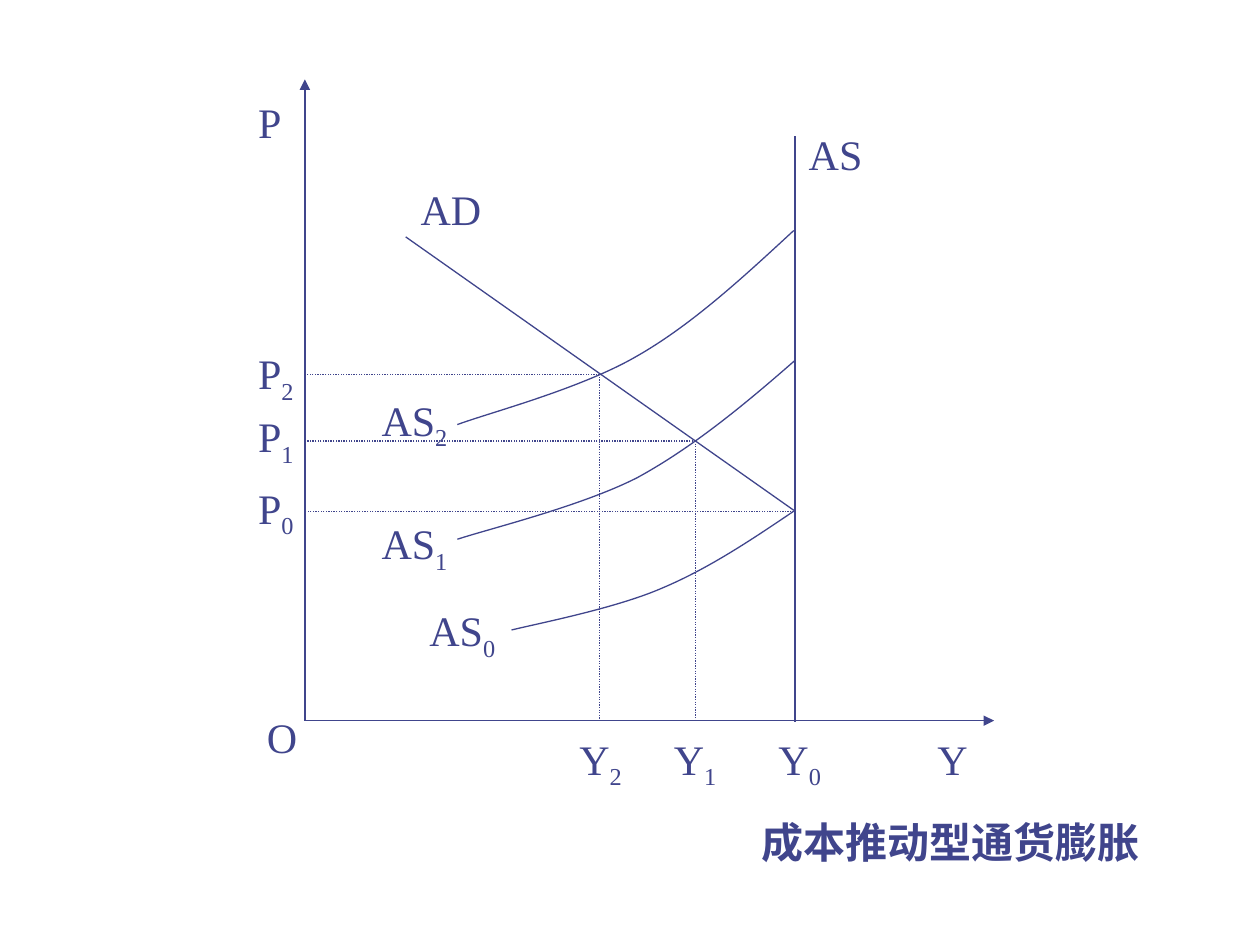
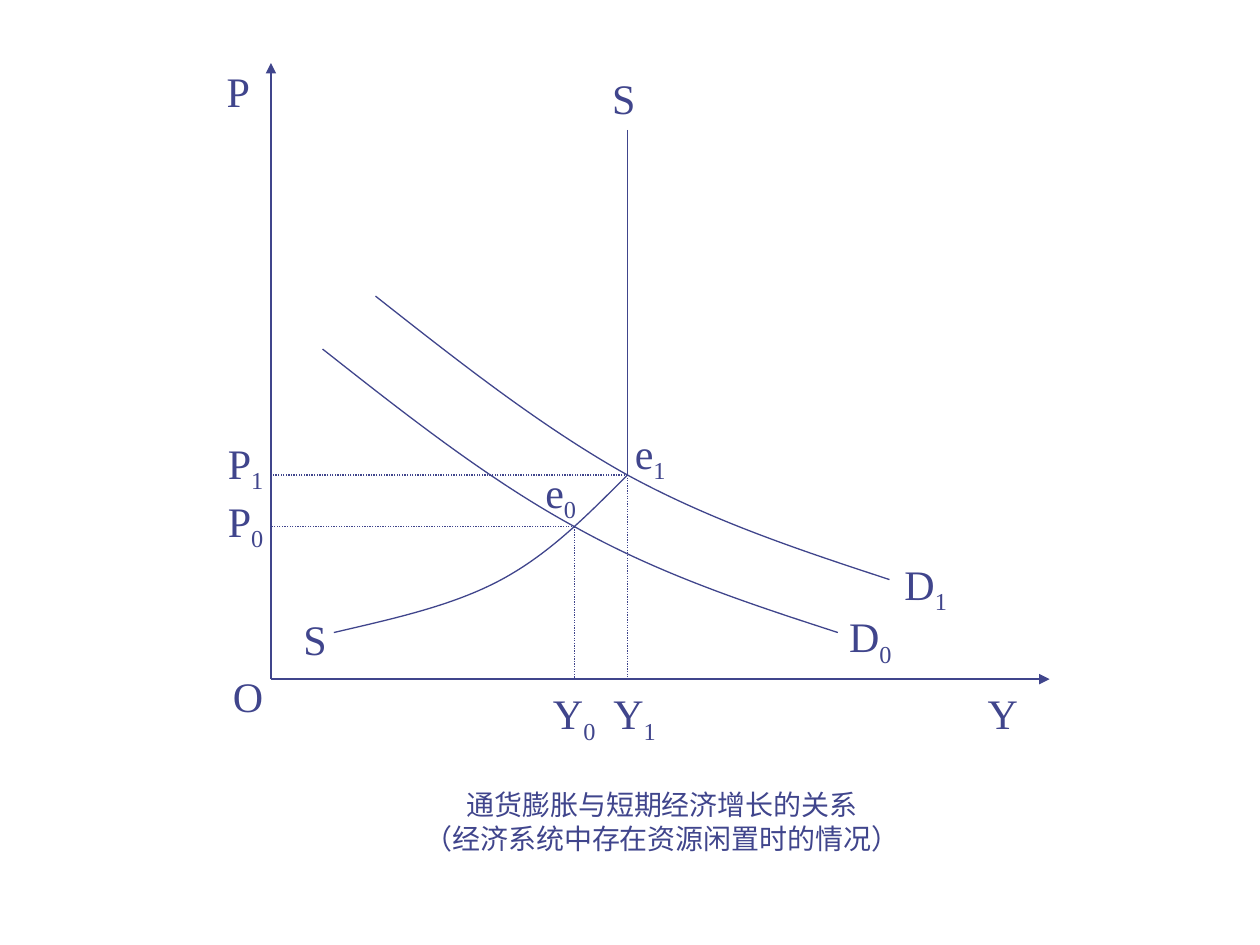
import pptx
import pptx.dml.color
import pptx.enum.dml
import pptx.enum.shapes
import pptx.enum.text
import pptx.oxml
import pptx.oxml.ns
import pptx.util
from lxml import etree

Inches = pptx.util.Inches
Pt = pptx.util.Pt
qn = pptx.oxml.ns.qn

INK = pptx.dml.color.RGBColor(0x40, 0x45, 0x8C)
FONT = "Times New Roman"
LINE_WIDTH = Pt(0.75)
LABEL_SIZE = 24
# Widths are rounded up so that no label breaks into two lines.
LETTER_WIDTHS = {"P": 0.19, "S": 0.19, "e": 0.16}
CAPITAL_WIDTH = 0.25
SUBSCRIPT_WIDTH = 0.1
SIDE_INSETS = 0.2
TITLE_ONLY = 5

LEFT = pptx.enum.text.PP_ALIGN.LEFT
CENTER = pptx.enum.text.PP_ALIGN.CENTER

# Labels are (text, left, top); "_" starts a subscript.
# Equilibria are (x, y, whether a guide also drops to the Y axis).
# Curves list a start point, then three points for each Bezier segment.
DIAGRAMS = [
    {
        "caption": ["成本推动型通货膨胀"],
        "caption_box": (5.94, 6.43, 3.39, 0.5),
        "caption_format": {"size": 24, "bold": True, "align": LEFT},
        "origin": (2.42, 5.72),
        "axis_ends": (7.89, 0.63),
        "lines": [((6.31, 1.08), (6.31, 5.73)), ((6.3, 4.05), (3.22, 1.88))],
        "curves": [
            [(6.3, 1.83), (5.9, 2.2), (5.49, 2.58), (5.05, 2.83),
             (4.6, 3.09), (3.87, 3.28), (3.63, 3.37)],
            [(6.31, 2.86), (5.91, 3.21), (5.5, 3.55), (5.06, 3.79),
             (4.61, 4.02), (3.87, 4.2), (3.63, 4.28)],
            [(6.31, 4.05), (5.97, 4.28), (5.63, 4.51), (5.25, 4.67),
             (4.88, 4.83), (4.26, 4.95), (4.06, 5)],
        ],
        "equilibria": [(4.76, 2.97, True), (5.52, 3.5, True), (6.28, 4.06, False)],
        "labels": [
            ("P", 1.95, 0.72), ("P_2", 1.95, 2.71), ("P_1", 1.95, 3.21),
            ("P_0", 1.95, 3.78), ("O", 2.02, 5.6), ("Y_2", 4.5, 5.77),
            ("Y_1", 5.25, 5.77), ("Y_0", 6.08, 5.77), ("Y", 7.34, 5.77),
            ("AS", 6.32, 0.97), ("AD", 3.24, 1.41), ("AS_2", 2.93, 3.08),
            ("AS_1", 2.93, 4.06), ("AS_0", 3.31, 4.75),
        ],
    },
    {
        "caption": ["通货膨胀与短期经济增长的关系", "（经济系统中存在资源闲置时的情况）"],
        "caption_box": (3.27, 6.2, 3.97, 0.64),
        "caption_format": {"size": 16, "bold": False, "align": CENTER},
        "origin": (2.15, 5.39),
        "axis_ends": (8.33, 0.5),
        "lines": [((4.98, 1.03), (4.98, 3.78))],
        "curves": [
            [(2.98, 2.35), (3.64, 2.87), (4.3, 3.39), (4.98, 3.77),
             (5.66, 4.14), (6.36, 4.37), (7.06, 4.6)],
            [(2.56, 2.77), (3.22, 3.29), (3.88, 3.81), (4.56, 4.18),
             (5.24, 4.56), (5.94, 4.79), (6.65, 5.02)],
            [(4.98, 3.77), (4.67, 4.08), (4.37, 4.39), (3.98, 4.6),
             (3.59, 4.81), (3.12, 4.91), (2.65, 5.02)],
        ],
        "equilibria": [(4.56, 4.18, True), (4.98, 3.77, True)],
        "labels": [
            ("P", 1.7, 0.47), ("P_1", 1.71, 3.42), ("P_0", 1.71, 3.88),
            ("O", 1.75, 5.27), ("Y_0", 4.29, 5.41), ("Y_1", 4.77, 5.41),
            ("Y", 7.74, 5.41), ("S", 4.76, 0.53), ("S", 2.31, 4.82),
            ("D_1", 7.08, 4.38), ("D_0", 6.64, 4.8), ("e_1", 4.94, 3.34),
            ("e_0", 4.23, 3.65),
        ],
    },
]


def write_text(para, text, size=LABEL_SIZE, bold=False, align=LEFT):
    """Fill a paragraph, setting whatever follows "_" as a subscript."""
    para.alignment = align
    base, _, subscript = text.partition("_")
    for part in filter(None, (base, subscript)):
        span = para.add_run()
        span.text = part
        span.font.name = FONT
        span.font.size = Pt(size)
        span.font.bold = bold
        span.font.color.rgb = INK
    if subscript:
        span._r.get_or_add_rPr().set("baseline", "-25000")


def add_label(page, text, left, top):
    base, _, subscript = text.partition("_")
    width = SIDE_INSETS + sum(LETTER_WIDTHS.get(letter, CAPITAL_WIDTH) for letter in base)
    width += SUBSCRIPT_WIDTH if subscript else 0
    height = 0.56 if subscript else 0.5
    box = page.shapes.add_textbox(Inches(left), Inches(top), Inches(width), Inches(height))
    box.text_frame.word_wrap = False
    box.text_frame.auto_size = pptx.enum.text.MSO_AUTO_SIZE.SHAPE_TO_FIT_TEXT
    write_text(box.text_frame.paragraphs[0], text)


def style_line(shape):
    shape.line.color.rgb = INK
    shape.line.width = LINE_WIDTH


def add_line(page, start, end, dotted=False, arrow=False):
    line = page.shapes.add_connector(
        pptx.enum.shapes.MSO_CONNECTOR.STRAIGHT, *map(Inches, start + end))
    style_line(line)
    if dotted:
        line.line.dash_style = pptx.enum.dml.MSO_LINE.ROUND_DOT
    properties = line._element.spPr
    if arrow:
        etree.SubElement(properties.find(qn("a:ln")), qn("a:tailEnd"), type="triangle")
    etree.SubElement(properties, qn("a:effectLst"))


def add_curve(page, points):
    """Draw a Bezier curve by merging each three straight segments into one."""
    start, *others = [tuple(map(Inches, point)) for point in points]
    builder = page.shapes.build_freeform(*start)
    builder.add_line_segments(others, close=False)
    curve = builder.convert_to_shape()
    outline = next(curve._element.iter(qn("a:path")))
    segments = outline.findall(qn("a:lnTo"))
    for first in range(0, len(segments), 3):
        bezier = etree.SubElement(outline, qn("a:cubicBezTo"))
        for segment in segments[first:first + 3]:
            bezier.append(segment[0])
            outline.remove(segment)
    curve.fill.background()
    curve.shadow.inherit = False
    style_line(curve)


def add_caption(page, lines, bounds, text_format):
    title = page.shapes.title
    title.left, title.top, title.width, title.height = map(Inches, bounds)
    frame = title.text_frame
    frame.word_wrap = False
    frame.auto_size = pptx.enum.text.MSO_AUTO_SIZE.NONE
    frame.vertical_anchor = pptx.enum.text.MSO_ANCHOR.TOP
    for index, text in enumerate(lines):
        para = frame.add_paragraph() if index else frame.paragraphs[0]
        write_text(para, text, **text_format)


def add_diagram(deck, diagram):
    page = deck.slides.add_slide(deck.slide_layouts[TITLE_ONLY])
    add_caption(page, diagram["caption"], diagram["caption_box"], diagram["caption_format"])
    origin_x, origin_y = origin = diagram["origin"]
    right, top = diagram["axis_ends"]
    for end in ((origin_x, top), (right, origin_y)):
        add_line(page, origin, end, arrow=True)
    for points in diagram["curves"]:
        add_curve(page, points)
    for start, end in diagram["lines"]:
        add_line(page, start, end)
    for x, y, drops in diagram["equilibria"]:
        add_line(page, (x, y), (origin_x, y), dotted=True)
        if drops:
            add_line(page, (x, y), (x, origin_y), dotted=True)
    for label in diagram["labels"]:
        add_label(page, *label)


def main():
    deck = pptx.Presentation()
    deck.slide_width, deck.slide_height = Inches(10), Inches(7.5)
    for diagram in DIAGRAMS:
        add_diagram(deck, diagram)
    deck.save("out.pptx")


if __name__ == "__main__":
    main()
